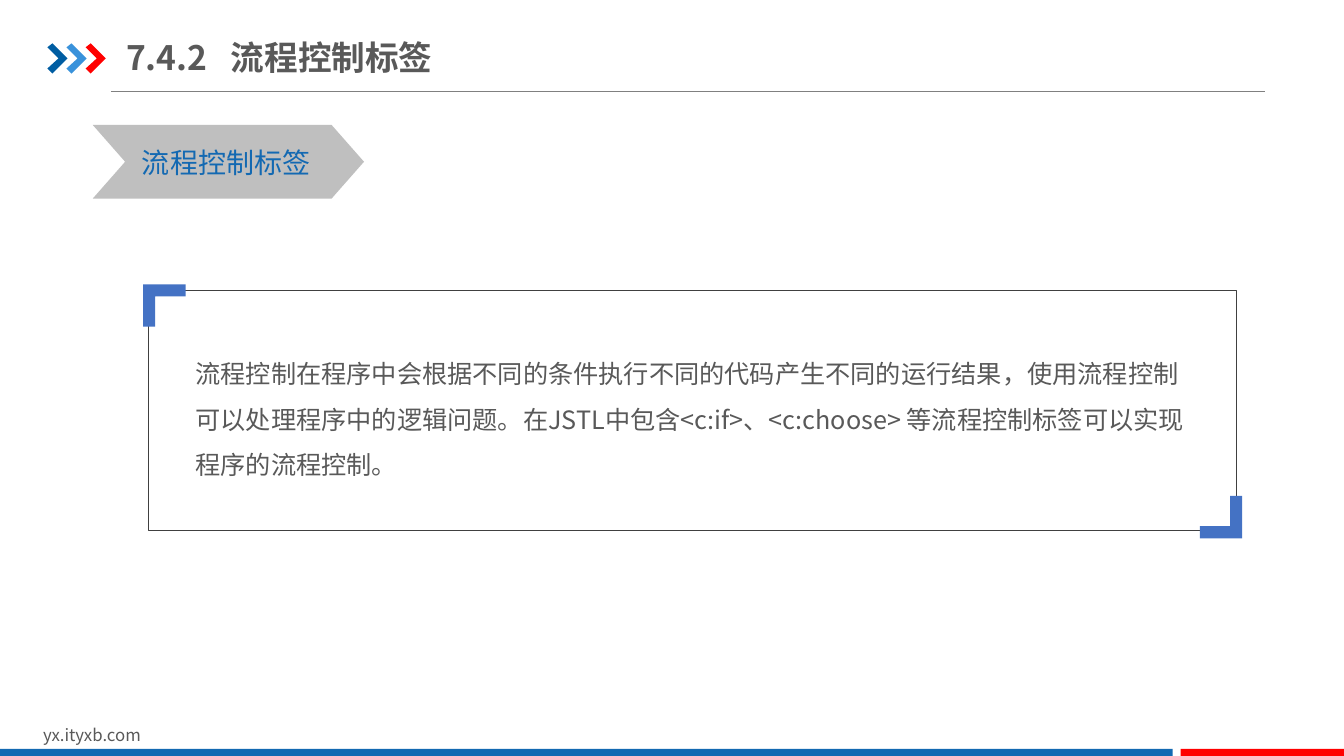
"""Build the slide that introduces flow control tags."""
import pptx
import pptx.dml.color
import pptx.enum.shapes
import pptx.enum.text
import pptx.oxml
import pptx.oxml.ns
import pptx.util
from pptx.util import Inches

FONT = "Noto Sans CJK SC"
BLUE, RED, GREY = "1369B2", "FF0000", "595959"
SHAPES = pptx.enum.shapes.MSO_SHAPE
ANCHORS = pptx.enum.text.MSO_ANCHOR
ARROW = [(0, 0.04), (0.05, 0), (0.2, 0.15), (0.05, 0.3), (0, 0.25), (0.11, 0.15)]
BRACKET = [(0, 0), (0.42, 0), (0.42, 0.12), (0.12, 0.12), (0.12, 0.42), (0, 0.42)]


def color(value):
    """Turn a hex string into a colour."""
    return pptx.dml.color.RGBColor.from_string(value)


def paint(shape, fill=None, line=None, width=0.25):
    """Set the fill and outline of a shape and drop its shadow."""
    shape.shadow.inherit = False
    if fill:
        shape.fill.solid()
        shape.fill.fore_color.rgb = color(fill)
    else:
        shape.fill.background()
    if line:
        shape.line.color.rgb = color(line)
        shape.line.width = pptx.util.Pt(width)
    else:
        shape.line.fill.background()


def add_block(slide, kind, left, top, width, height, **style):
    """Add a preset shape."""
    block = slide.shapes.add_shape(
        kind, Inches(left), Inches(top), Inches(width), Inches(height))
    paint(block, **style)
    return block


def add_outline(slide, points, left, top, fill, direction=1):
    """Add a closed outline; direction -1 turns it half way round."""
    corners = [(Inches(left + direction * x), Inches(top + direction * y))
               for x, y in points]
    builder = slide.shapes.build_freeform(*corners[0])
    builder.add_line_segments(corners[1:], close=True)
    paint(builder.convert_to_shape(), fill)


def add_rule(slide, left, right, top):
    """Add the thin line below the title."""
    rule = slide.shapes.add_connector(
        pptx.enum.shapes.MSO_CONNECTOR.STRAIGHT,
        Inches(left), Inches(top), Inches(right), Inches(top))
    rule.line.color.rgb = color("808080")
    rule.line.width = pptx.util.Pt(0.5)
    properties = rule._element.spPr
    properties.append(pptx.oxml.parse_xml(
        f"<a:effectLst {pptx.oxml.ns.nsdecls('a')}/>"))


def write(box, text, size, ink=GREY, bold=False, wrap=True, spacing=None, tab=None):
    """Write one left-aligned paragraph into a box."""
    frame = box.text_frame
    frame.word_wrap = wrap
    para = frame.paragraphs[0]
    para.text = text
    para.alignment = pptx.enum.text.PP_ALIGN.LEFT
    if spacing:
        para.line_spacing = spacing
    names = pptx.oxml.ns.nsdecls("a")
    if tab:
        para._p.get_or_add_pPr().append(pptx.oxml.parse_xml(
            f'<a:tabLst {names}><a:tab pos="{Inches(tab)}" algn="l"/></a:tabLst>'))
    font = para.font
    font.name, font.size, font.bold = FONT, pptx.util.Pt(size), bold
    font.color.rgb = color(ink)
    font._element.append(pptx.oxml.parse_xml(f'<a:ea {names} typeface="{FONT}"/>'))


def add_text(slide, left, top, width, height, text, size, **style):
    """Add a text box."""
    box = slide.shapes.add_textbox(
        Inches(left), Inches(top), Inches(width), Inches(height))
    write(box, text, size, **style)


def set_title(slide, text):
    """Place and format the title placeholder."""
    title = slide.shapes.title
    title.left, title.top = Inches(1.25), Inches(0.29)
    title.width, title.height = Inches(3.84), Inches(0.55)
    write(title, text, 24, bold=True, tab=1.04)
    frame = title.text_frame
    frame.auto_size = pptx.enum.text.MSO_AUTO_SIZE.NONE
    frame.vertical_anchor = ANCHORS.MIDDLE
    frame.margin_left = frame.margin_right = 0
    frame.margin_top = frame.margin_bottom = Inches(0.07)


def add_frame(slide):
    """Add the outlined panel with its two corner brackets."""
    add_block(slide, SHAPES.RECTANGLE, 1.47, 2.88, 10.79, 2.38, line="404040")
    add_outline(slide, BRACKET, 1.42, 2.82, "4472C4")
    add_outline(slide, BRACKET, 12.32, 5.34, "4472C4", direction=-1)


def main():
    """Build and save the deck."""
    deck = pptx.Presentation()
    deck.slide_width, deck.slide_height = Inches(13.33), Inches(7.5)
    slide = deck.slides.add_slide(deck.slide_layouts[5])
    set_title(slide, "7.4.2\t流程控制标签")
    add_rule(slide, 1.1, 12.55, 0.91)
    for index, fill in enumerate(("005DA2", "3992DB", RED)):
        add_outline(slide, ARROW, 0.47 + 0.19 * index, 0.43, fill)
    add_text(slide, 0.33, 7.14, 3.18, 0.3, "yx.ityxb.com", 12)
    add_block(slide, SHAPES.RECTANGLE, 0, 7.43, 11.63, 0.09, fill=BLUE)
    add_block(slide, SHAPES.RECTANGLE, 11.71, 7.43, 1.63, 0.09, fill=RED)
    banner = add_block(slide, SHAPES.CHEVRON, 0.92, 1.24, 2.69, 0.73, fill="BFBFBF")
    banner.adjustments[0] = 0.44
    add_text(slide, 1.31, 1.39, 1.88, 0.44, "流程控制标签", 20, ink=BLUE, wrap=False)
    add_frame(slide)
    add_text(slide, 1.84, 3.36, 10.06, 1.46,
             "流程控制在程序中会根据不同的条件执行不同的代码产生不同的运行结果，"
             "使用流程控制可以处理程序中的逻辑问题。在JSTL中包含<c:if>、<c:choose> "
             "等流程控制标签可以实现程序的流程控制。", 18, spacing=1.5)
    deck.save("out.pptx")


if __name__ == "__main__":
    main()
